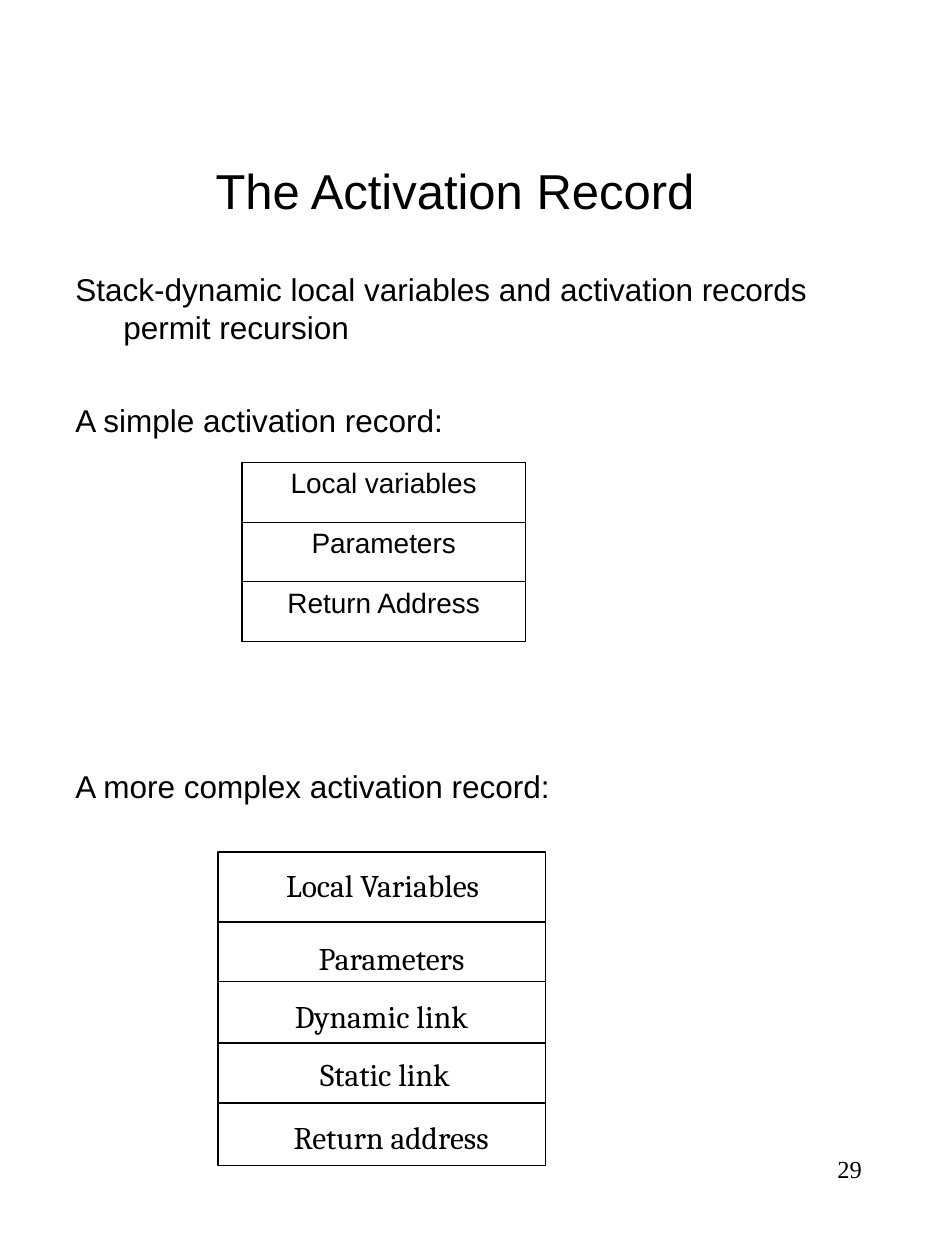
from dataclasses import dataclass

from lxml.etree import SubElement
from pptx import Presentation
from pptx.dml.color import RGBColor
from pptx.enum.shapes import MSO_CONNECTOR, MSO_SHAPE
from pptx.enum.text import MSO_ANCHOR, PP_ALIGN
from pptx.oxml.ns import qn
from pptx.util import Inches, Pt

WIDE, HIGH = Inches(7.5), Inches(10)


@dataclass(frozen=True)
class Theme:
    ink: RGBColor = RGBColor(0, 0, 0)
    paper: RGBColor = RGBColor(255, 255, 255)
    sans: str = "Arial"
    serif: str = "Cambria"
    roman: str = "Times New Roman"
    title: int = 28
    body: int = 18
    cell: int = 16
    foot: int = 14
    rule: float = 1
    thin: float = 0.45


THEME = Theme()

# Space before each body paragraph, in points
BODY = [
    ("Stack-dynamic local variables and activation records permit recursion", 0),
    ("A simple activation record:", 31.6),
    ("A more complex activation record:", 187.7),
]
SIMPLE = ["Local variables", "Parameters", "Return Address"]
# Label, left, top and width in percent of the slide
COMPLEX = [
    ("Local Variables", 30.27, 68.7, 22.67),
    ("Parameters", 33.73, 74.5, 16.67),
    ("Dynamic link", 31.2, 79.1, 20),
    ("Static link", 33.87, 83.7, 14.67),
    ("Return address", 31.07, 88.7, 22.53),
]
SPLITS = [73.2, 77.9, 82.8, 87.55]


def area(left, top, width, height):
    """Turn percentages of the slide into lengths."""
    return (int(WIDE * left / 100), int(HIGH * top / 100),
            int(WIDE * width / 100), int(HIGH * height / 100))


def write(para, text, size=THEME.body, font=THEME.sans,
          align=PP_ALIGN.LEFT, before=0, hang=0):
    para.text = text
    para.alignment = align
    para.space_before = Pt(before)
    if hang:
        props = para._p.get_or_add_pPr()
        props.set("marL", str(Inches(hang)))
        props.set("indent", str(-Inches(hang)))
    para.font.size = Pt(size)
    para.font.name = font
    para.font.color.rgb = THEME.ink


def add_box(slide, spot, inset=True, wrap=True):
    frame = slide.shapes.add_textbox(*area(*spot)).text_frame
    frame.word_wrap = wrap
    if not inset:
        frame.margin_left = frame.margin_right = 0
        frame.margin_top = frame.margin_bottom = 0
    return frame


def add_title(slide, text):
    title = slide.shapes.title
    title.left, title.top, title.width, title.height = area(5.6, 6.7, 85.07, 16.7)
    title.text_frame.vertical_anchor = MSO_ANCHOR.MIDDLE
    write(title.text_frame.paragraphs[0], text, size=THEME.title,
          align=PP_ALIGN.CENTER)


def add_body(slide):
    frame = add_box(slide, (6.67, 20.95, 85.07, 60))
    for place, (text, before) in enumerate(BODY):
        para = frame.add_paragraph() if place else frame.paragraphs[0]
        write(para, text, before=before, hang=0.38)


def add_edges(cell, **widths):
    props = cell._tc.get_or_add_tcPr()
    for side, width in widths.items():
        edge = SubElement(props, qn(f"a:{side}"), w=str(Pt(width)))
        fill = SubElement(edge, qn("a:solidFill"))
        SubElement(fill, qn("a:srgbClr"), val=str(THEME.ink))


def add_simple(slide):
    table = slide.shapes.add_table(len(SIMPLE), 1, *area(25.6, 36.7, 30, 14.2)).table
    table.first_row = table.horz_banding = False
    last = len(SIMPLE) - 1
    for row, text in enumerate(SIMPLE):
        cell = table.cell(row, 0)
        add_edges(cell, lnL=THEME.rule, lnR=THEME.rule,
                  lnT=THEME.thin if row else THEME.rule,
                  lnB=THEME.thin if row < last else THEME.rule)
        cell.fill.background()
        write(cell.text_frame.paragraphs[0], text, size=THEME.cell,
              align=PP_ALIGN.CENTER)


def add_rule(slide, left, top, width):
    x, y, span, _ = area(left, top, width, 0)
    rule = slide.shapes.add_connector(MSO_CONNECTOR.STRAIGHT, x, y, x + span, y)
    rule.line.color.rgb = THEME.ink
    rule.line.width = Pt(THEME.rule)
    SubElement(rule._element.spPr, qn("a:effectLst"))


def add_complex(slide):
    left, width = 23.07, 34.67
    frame = slide.shapes.add_shape(MSO_SHAPE.RECTANGLE,
                                   *area(left, 67.6, width, 24.9))
    frame.shadow.inherit = False
    frame.fill.solid()
    frame.fill.fore_color.rgb = THEME.paper
    frame.line.color.rgb = THEME.ink
    frame.line.width = Pt(THEME.rule)
    for top in SPLITS:
        add_rule(slide, left, top, width)
    for text, x, y, span in COMPLEX:
        label = add_box(slide, (x, y, span, 3), inset=False, wrap=False)
        write(label.paragraphs[0], text, font=THEME.serif)


def add_number(slide, text):
    frame = add_box(slide, (71.73, 91.1, 20.8, 6.7))
    write(frame.paragraphs[0], text, size=THEME.foot, font=THEME.roman,
          align=PP_ALIGN.RIGHT)


def main():
    deck = Presentation()
    deck.slide_width, deck.slide_height = WIDE, HIGH
    slide = deck.slides.add_slide(deck.slide_layouts[5])
    add_number(slide, "29")
    add_title(slide, "The Activation Record")
    add_body(slide)
    add_complex(slide)
    add_simple(slide)
    deck.save("out.pptx")


if __name__ == "__main__":
    main()
